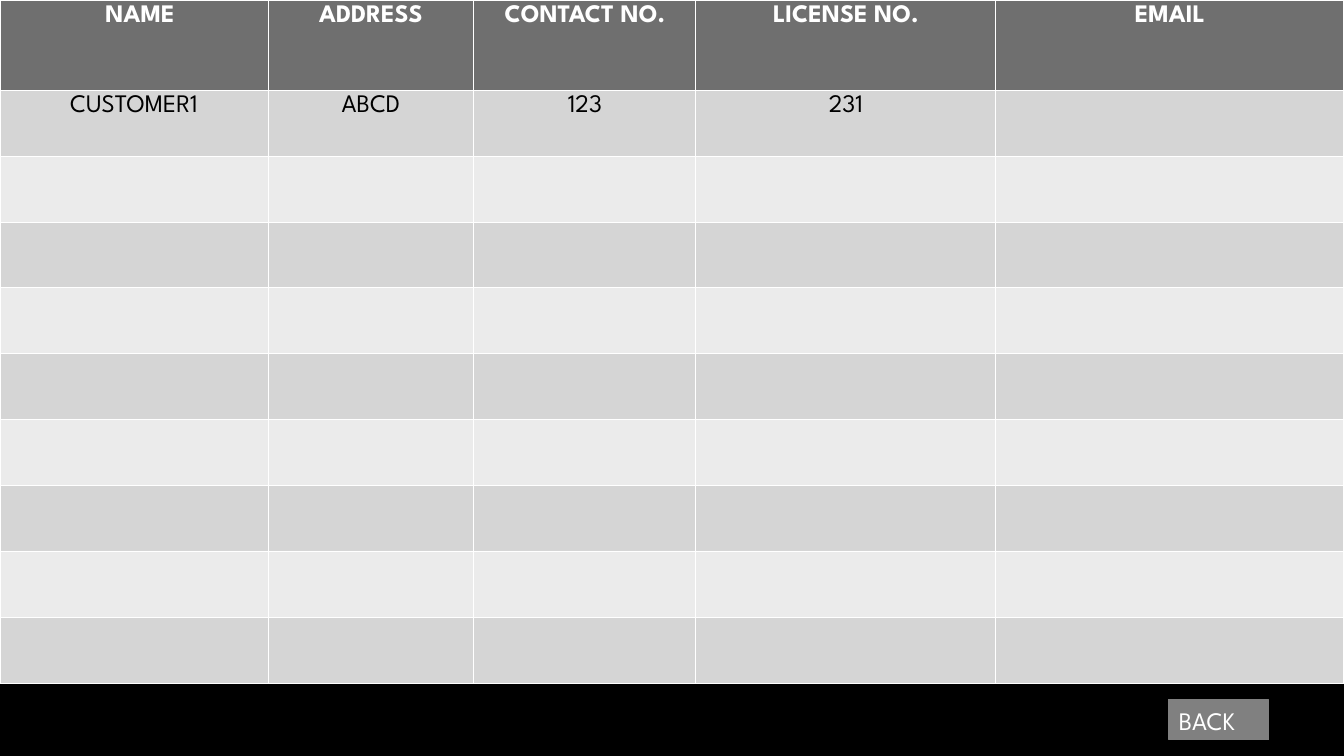
"""Build the customer records slide: a banded table and a back button."""
from dataclasses import dataclass

from lxml.etree import SubElement
from pptx import Presentation
from pptx.dml.color import RGBColor as Rgb
from pptx.enum.shapes import MSO_SHAPE as Preset
from pptx.enum.text import MSO_ANCHOR as Anchor, PP_ALIGN as Align
from pptx.oxml.ns import qn
from pptx.util import Pt

HEADINGS = ["NAME", "ADDRESS", "CONTACT NO.", "LICENSE NO.", "EMAIL"]
CUSTOMERS = [["CUSTOMER1", "ABCD", "123", "231", ""]]
BACK_LABEL = "BACK"

SLIDE_SIZE = (1344, 756)
COLUMN_WIDTHS = [268, 206, 222, 300, 348]
HEADER_HEIGHT, ROW_HEIGHT, ROW_COUNT = 90, 66, 9
CELL_SIDE, CELL_TOP, NAME_INDENT = 10, 5, 12
BACK_BOX = (1169, 700, 100, 40)
EMU_PER_PX = 914400 / 100.8


@dataclass(frozen=True)
class Theme:
    """Colours, font and sizes in points."""
    font: str = "League Spartan"
    size: int = 18
    rule: float = 0.75
    outline: float = 0.75
    page: str = "000000"
    header: str = "6F6F6F"
    bands: tuple = ("D5D5D5", "EBEBEB")
    button: str = "808080"
    light: str = "FFFFFF"
    dark: str = "000000"


THEME = Theme()


def px(length):
    """Turn px into EMU."""
    return round(length * EMU_PER_PX)


def paint(fill, colour):
    """Apply a solid colour."""
    fill.solid()
    fill.fore_color.rgb = Rgb.from_string(colour)


def write(frame, words, colour, align, bold=False):
    """Write one styled run into the first paragraph."""
    paragraph = frame.paragraphs[0]
    paragraph.alignment = align
    run = paragraph.add_run()
    run.text = words
    run.font.name = THEME.font
    run.font.size = Pt(THEME.size)
    run.font.bold = bold
    run.font.color.rgb = Rgb.from_string(colour)


def rule_cell(cell):
    """Draw the four borders of a cell, ahead of its fill."""
    properties = cell._tc.get_or_add_tcPr()
    for side in ("a:lnL", "a:lnR", "a:lnT", "a:lnB"):
        border = SubElement(properties, qn(side), w=str(Pt(THEME.rule)))
        solid = SubElement(border, qn("a:solidFill"))
        SubElement(solid, qn("a:srgbClr"), val=THEME.light)


def add_customers(slide):
    """Add the table of customers."""
    height = HEADER_HEIGHT + ROW_COUNT * ROW_HEIGHT
    customers = slide.shapes.add_table(
        ROW_COUNT + 1, len(HEADINGS), 0, 0, px(sum(COLUMN_WIDTHS)), px(height)).table
    for column, width in zip(customers.columns, COLUMN_WIDTHS):
        column.width = px(width)
    blank_rows = [[""] * len(HEADINGS)] * (ROW_COUNT - len(CUSTOMERS))
    for index, record in enumerate([HEADINGS] + CUSTOMERS + blank_rows):
        heading = index == 0
        customers.rows[index].height = px(HEADER_HEIGHT if heading else ROW_HEIGHT)
        band = THEME.header if heading else THEME.bands[(index - 1) % 2]
        for cell, words in zip(customers.rows[index].cells, record):
            indent = NAME_INDENT if words == HEADINGS[0] else 0
            cell.margin_left, cell.margin_right = px(CELL_SIDE + indent), px(CELL_SIDE)
            cell.margin_top = cell.margin_bottom = px(CELL_TOP)
            rule_cell(cell)
            paint(cell.fill, band)
            if words:
                write(cell.text_frame, words, THEME.light if heading else THEME.dark,
                      Align.CENTER, heading)


def add_back(slide):
    """Add the back button."""
    back = slide.shapes.add_shape(Preset.RECTANGLE, *map(px, BACK_BOX))
    back.shadow.inherit = False
    paint(back.fill, THEME.button)
    paint(back.line.fill, THEME.button)
    back.line.width = Pt(THEME.outline)
    back.text_frame.word_wrap = True
    back.text_frame.vertical_anchor = Anchor.MIDDLE
    write(back.text_frame, BACK_LABEL, THEME.light, Align.LEFT)


def main():
    """Build and save the slide."""
    deck = Presentation()
    deck.slide_width, deck.slide_height = map(px, SLIDE_SIZE)
    slide = deck.slides.add_slide(deck.slide_layouts[6])
    paint(slide.background.fill, THEME.page)
    add_customers(slide)
    add_back(slide)
    deck.save("out.pptx")


if __name__ == "__main__":
    main()
